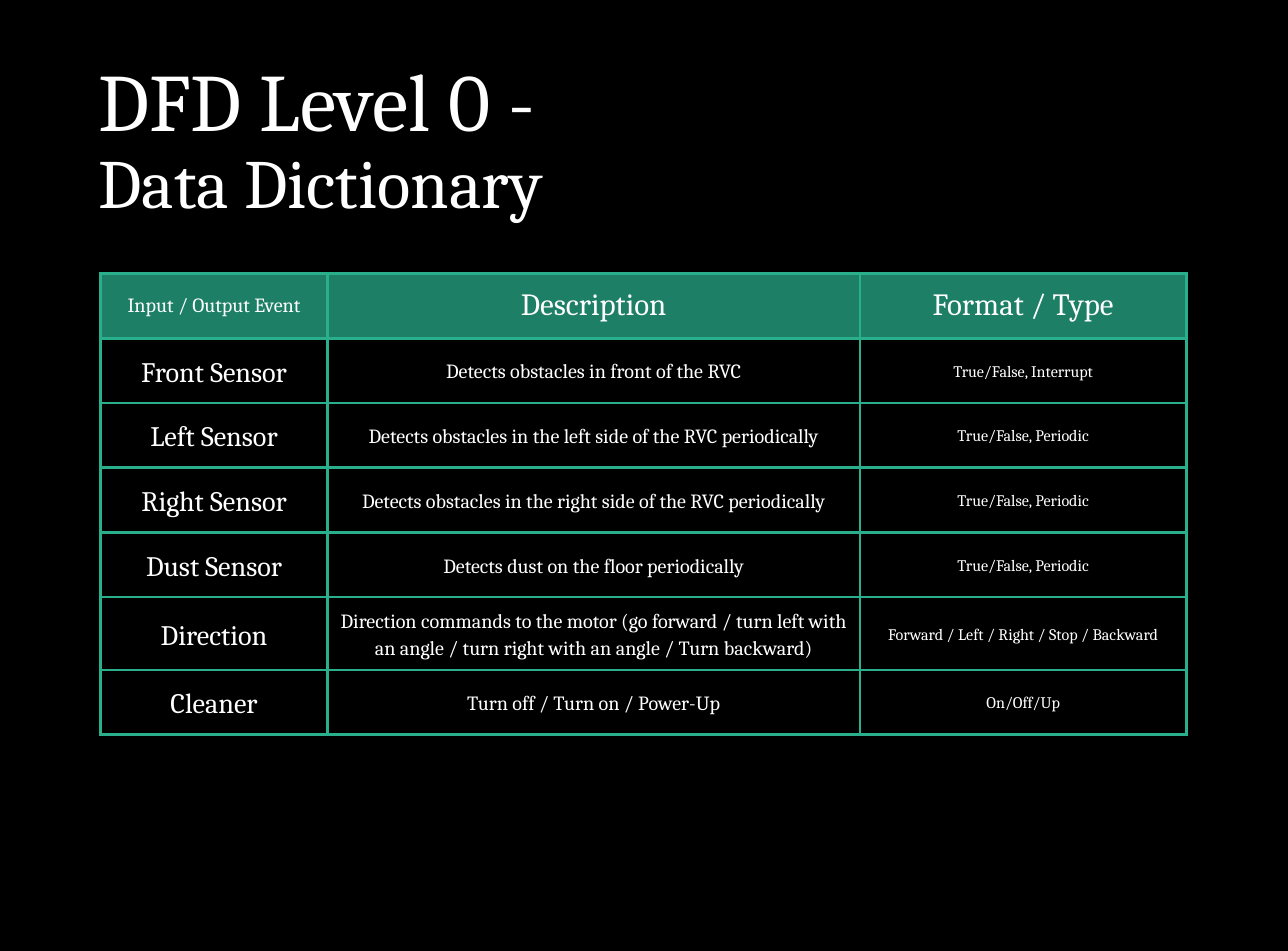
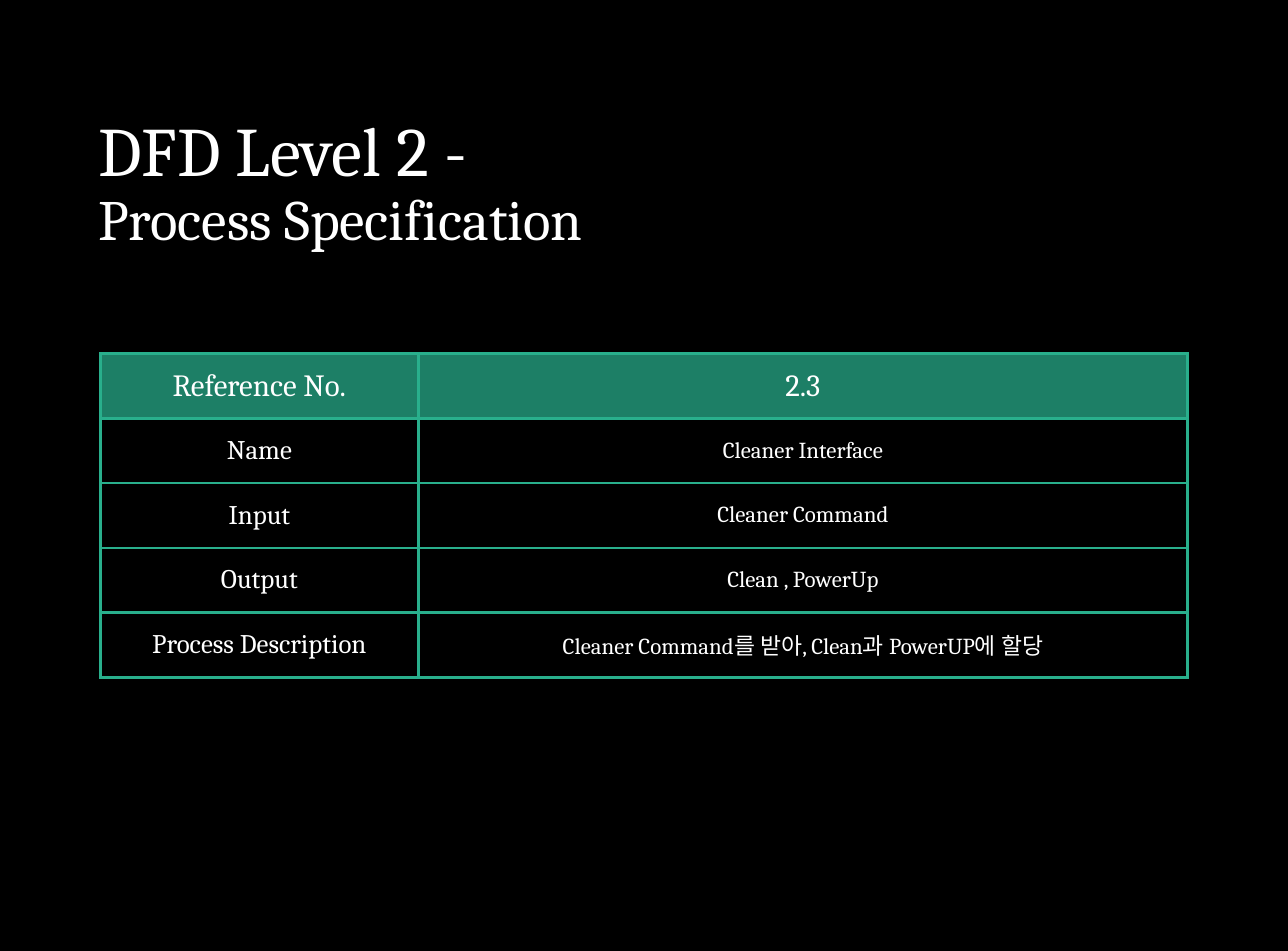
from lxml import etree
from pptx import Presentation
from pptx.dml.color import RGBColor
from pptx.enum import text
from pptx.oxml import ns
from pptx.util import Inches, Pt

FONT = "Cambria"
BLACK, WHITE, GREEN, MINT = "000000", "FFFFFF", "1D7F66", "29AF8C"
BORDER_WIDTH = Pt(2.25)
ROW_HEIGHT = 0.67
TABLE_LEFT = 1.04

# Sizes are points, one per title line or table column; places are inches.
SLIDES = [
    dict(
        title=["DFD Level 0 -", "Data Dictionary"], title_sizes=[60.7, 51.5],
        title_top=0.52, table_top=2.83, columns=[2.35, 5.51, 3.38],
        header_sizes=[15, 23, 23], body_sizes=[21, 15, 12], line_spacing=1.15,
        rows=[
            ["Input / Output Event", "Description", "Format / Type"],
            ["Front Sensor", "Detects obstacles in front of the RVC",
             "True/False, Interrupt"],
            ["Left Sensor",
             "Detects obstacles in the left side of the RVC periodically",
             "True/False, Periodic"],
            ["Right Sensor",
             "Detects obstacles in the right side of the RVC periodically",
             "True/False, Periodic"],
            ["Dust Sensor", "Detects dust on the floor periodically",
             "True/False, Periodic"],
            ["Direction",
             "Direction commands to the motor (go forward / turn left with an "
             "angle / turn right with an angle / Turn backward)",
             "Forward / Left / Right / Stop / Backward"],
            ["Cleaner", "Turn off / Turn on / Power-Up", "On/Off/Up"],
        ]),
    dict(
        title=["DFD Level 2 -", "Process Specification"], title_sizes=[51.7, 42.5],
        title_top=0.96, table_top=3.66, columns=[3.29, 7.96],
        header_sizes=[23, 23], body_sizes=[20, 17], line_spacing=1,
        rows=[
            ["Reference No.", "2.3"],
            ["Name", "Cleaner Interface"],
            ["Input", "Cleaner Command"],
            ["Output", "Clean , PowerUp"],
            ["Process Description", "Cleaner Command를 받아, Clean과 PowerUP에 할당"],
        ]),
]


def color(value):
    return RGBColor.from_string(value)


def write(paragraph, words, size, align, spacing):
    paragraph.alignment = align
    paragraph.line_spacing = spacing
    run = paragraph.add_run()
    run.text = words
    run.font.name = FONT
    run.font.size = Pt(size)
    run.font.color.rgb = color(WHITE)


def add_borders(cell):
    """Draw all four cell sides; they must precede the fill in the XML."""
    properties = cell._tc.get_or_add_tcPr()
    for index, side in enumerate(("lnL", "lnR", "lnT", "lnB")):
        line = etree.Element(ns.qn(f"a:{side}"), w=str(BORDER_WIDTH))
        fill = etree.SubElement(line, ns.qn("a:solidFill"))
        etree.SubElement(fill, ns.qn("a:srgbClr"), val=MINT)
        properties.insert(index, line)


def set_title(slide, content):
    title = slide.shapes.title
    title.left, title.top = Inches(0.92), Inches(content["title_top"])
    title.width, title.height = Inches(11.5), Inches(1.9)
    frame = title.text_frame
    frame.auto_size = text.MSO_AUTO_SIZE.NONE
    frame.vertical_anchor = text.MSO_ANCHOR.MIDDLE
    for index, words in enumerate(content["title"]):
        paragraph = frame.add_paragraph() if index else frame.paragraphs[0]
        write(paragraph, words, content["title_sizes"][index],
              text.PP_ALIGN.LEFT, 0.9)


def add_grid(slide, content):
    rows, columns = content["rows"], content["columns"]
    grid = slide.shapes.add_table(
        len(rows), len(columns), Inches(TABLE_LEFT), Inches(content["table_top"]),
        Inches(sum(columns)), Inches(ROW_HEIGHT * len(rows))).table
    grid.horz_banding = False
    for column, width in zip(grid.columns, columns):
        column.width = Inches(width)
    for r, row in enumerate(rows):
        grid.rows[r].height = Inches(ROW_HEIGHT)
        sizes = content["body_sizes" if r else "header_sizes"]
        for c, words in enumerate(row):
            cell = grid.cell(r, c)
            cell.vertical_anchor = text.MSO_ANCHOR.MIDDLE
            cell.margin_left = cell.margin_right = Inches(0.1)
            cell.margin_top = cell.margin_bottom = Inches(0.1)
            if r:
                cell.fill.background()
            else:
                cell.fill.solid()
                cell.fill.fore_color.rgb = color(GREEN)
            add_borders(cell)
            write(cell.text_frame.paragraphs[0], words, sizes[c],
                  text.PP_ALIGN.CENTER, content["line_spacing"] if r else 1)


def main():
    deck = Presentation()
    deck.slide_width, deck.slide_height = Inches(13.33), Inches(9.84)
    backdrop = deck.slide_master.background.fill
    backdrop.solid()
    backdrop.fore_color.rgb = color(BLACK)
    title_only = deck.slide_layouts.get_by_name("Title Only")
    for content in SLIDES:
        slide = deck.slides.add_slide(title_only)
        set_title(slide, content)
        add_grid(slide, content)
    deck.save("out.pptx")


if __name__ == "__main__":
    main()
